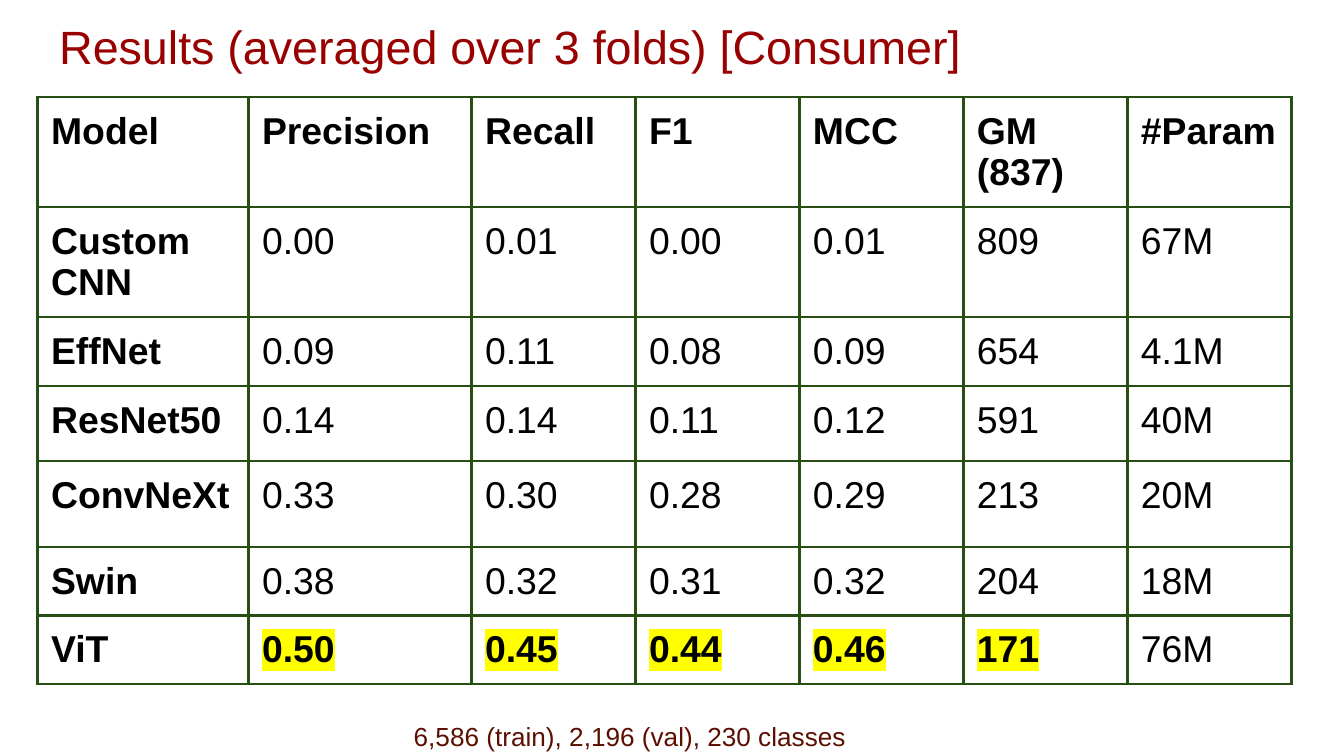
from typing import NamedTuple

from lxml.etree import SubElement
from pptx import Presentation
from pptx.dml.color import RGBColor
from pptx.enum.text import MSO_ANCHOR, MSO_AUTO_SIZE, PP_ALIGN
from pptx.oxml.ns import qn
from pptx.util import Inches, Pt

TITLE_RED = RGBColor(0x99, 0x00, 0x00)
NOTE_BROWN = RGBColor(0x5B, 0x0F, 0x00)
BORDER_GREEN = RGBColor(0x27, 0x4E, 0x13)
BLACK = RGBColor(0x00, 0x00, 0x00)
YELLOW = RGBColor(0xFF, 0xFF, 0x00)

SLIDE_WIDTH = 10
SLIDE_HEIGHT = SLIDE_WIDTH * 9 / 16
INSET = Inches(0.1)
COLUMN_WIDTHS = [1.57, 1.66] + [1.22] * 5
HEADINGS = ["Model", "Precision", "Recall", "F1", "MCC", "GM (837)", "#Param"]
HEADING_HEIGHT = 0.53


class ModelResult(NamedTuple):
    model: str
    scores: list[str]
    params: str
    height: float
    best: bool = False


RESULTS = [
    ModelResult("Custom CNN", ["0.00", "0.01", "0.00", "0.01", "809"], "67M", 0.46),
    ModelResult("EffNet", ["0.09", "0.11", "0.08", "0.09", "654"], "4.1M", 0.42),
    ModelResult("ResNet50", ["0.14", "0.14", "0.11", "0.12", "591"], "40M", 0.56),
    ModelResult("ConvNeXt", ["0.33", "0.30", "0.28", "0.29", "213"], "20M", 0.64),
    ModelResult("Swin", ["0.38", "0.32", "0.31", "0.32", "204"], "18M", 0.42),
    ModelResult("ViT", ["0.50", "0.45", "0.44", "0.46", "171"], "76M", 0.42, best=True),
]


def write_text(frame, text: str, *, size: float, color: RGBColor,
               bold: bool = False, highlight: RGBColor | None = None) -> None:
    paragraph = frame.paragraphs[0]
    paragraph.alignment = PP_ALIGN.LEFT
    run = paragraph.add_run()
    run.text = text
    run.font.size = Pt(size)
    run.font.bold = bold
    run.font.color.rgb = color
    if highlight is not None:
        marker = SubElement(run.font._element, qn("a:highlight"))
        SubElement(marker, qn("a:srgbClr"), val=str(highlight))
    run.font.name = "Arial"


def set_insets(box) -> None:
    box.margin_left = box.margin_right = INSET
    box.margin_top = box.margin_bottom = INSET


def set_borders(cell) -> None:
    properties = cell._tc.get_or_add_tcPr()
    for side in ("a:lnL", "a:lnR", "a:lnT", "a:lnB"):
        line = SubElement(properties, qn(side), w=str(Pt(1.5)))
        fill = SubElement(line, qn("a:solidFill"))
        SubElement(fill, qn("a:srgbClr"), val=str(BORDER_GREEN))


def fill_cell(cell, text: str, bold: bool, highlight: RGBColor | None = None) -> None:
    set_insets(cell)
    set_borders(cell)
    cell.fill.background()
    write_text(cell.text_frame, text, size=20, color=BLACK, bold=bold, highlight=highlight)


def add_results_table(slide) -> None:
    heights = [HEADING_HEIGHT] + [result.height for result in RESULTS]
    table = slide.shapes.add_table(
        len(heights), len(HEADINGS), Inches(0.28), Inches(0.72),
        Inches(sum(COLUMN_WIDTHS)), Inches(sum(heights))).table
    table.first_row = table.horz_banding = False
    for column, width in zip(table.columns, COLUMN_WIDTHS):
        column.width = Inches(width)
    for row, height in zip(table.rows, heights):
        row.height = Inches(height)

    for column, heading in enumerate(HEADINGS):
        fill_cell(table.cell(0, column), heading, bold=True)
    for row, result in enumerate(RESULTS, start=1):
        fill_cell(table.cell(row, 0), result.model, bold=True)
        for column, score in enumerate(result.scores, start=1):
            fill_cell(table.cell(row, column), score, bold=result.best,
                      highlight=YELLOW if result.best else None)
        fill_cell(table.cell(row, len(HEADINGS) - 1), result.params, bold=False)


def main() -> None:
    presentation = Presentation()
    presentation.slide_width = Inches(SLIDE_WIDTH)
    presentation.slide_height = Inches(SLIDE_HEIGHT)
    slide = presentation.slides.add_slide(presentation.slide_layouts[5])

    title = slide.shapes.title
    title.left, title.top = Inches(0.34), Inches(0.02)
    title.width, title.height = Inches(9.32), Inches(0.63)
    title.text_frame.auto_size = MSO_AUTO_SIZE.NONE
    title.text_frame.vertical_anchor = MSO_ANCHOR.BOTTOM
    set_insets(title.text_frame)
    write_text(title.text_frame, "Results (averaged over 3 folds) [Consumer]",
               size=25, color=TITLE_RED)

    add_results_table(slide)

    dataset_note = slide.shapes.add_textbox(
        Inches(2.98), Inches(5.26), Inches(4.44), Inches(0.44)).text_frame
    dataset_note.word_wrap = True
    dataset_note.auto_size = MSO_AUTO_SIZE.SHAPE_TO_FIT_TEXT
    set_insets(dataset_note)
    write_text(dataset_note, "6,586 (train), 2,196 (val), 230 classes",
               size=14, color=NOTE_BROWN)

    presentation.save("out.pptx")


if __name__ == "__main__":
    main()
